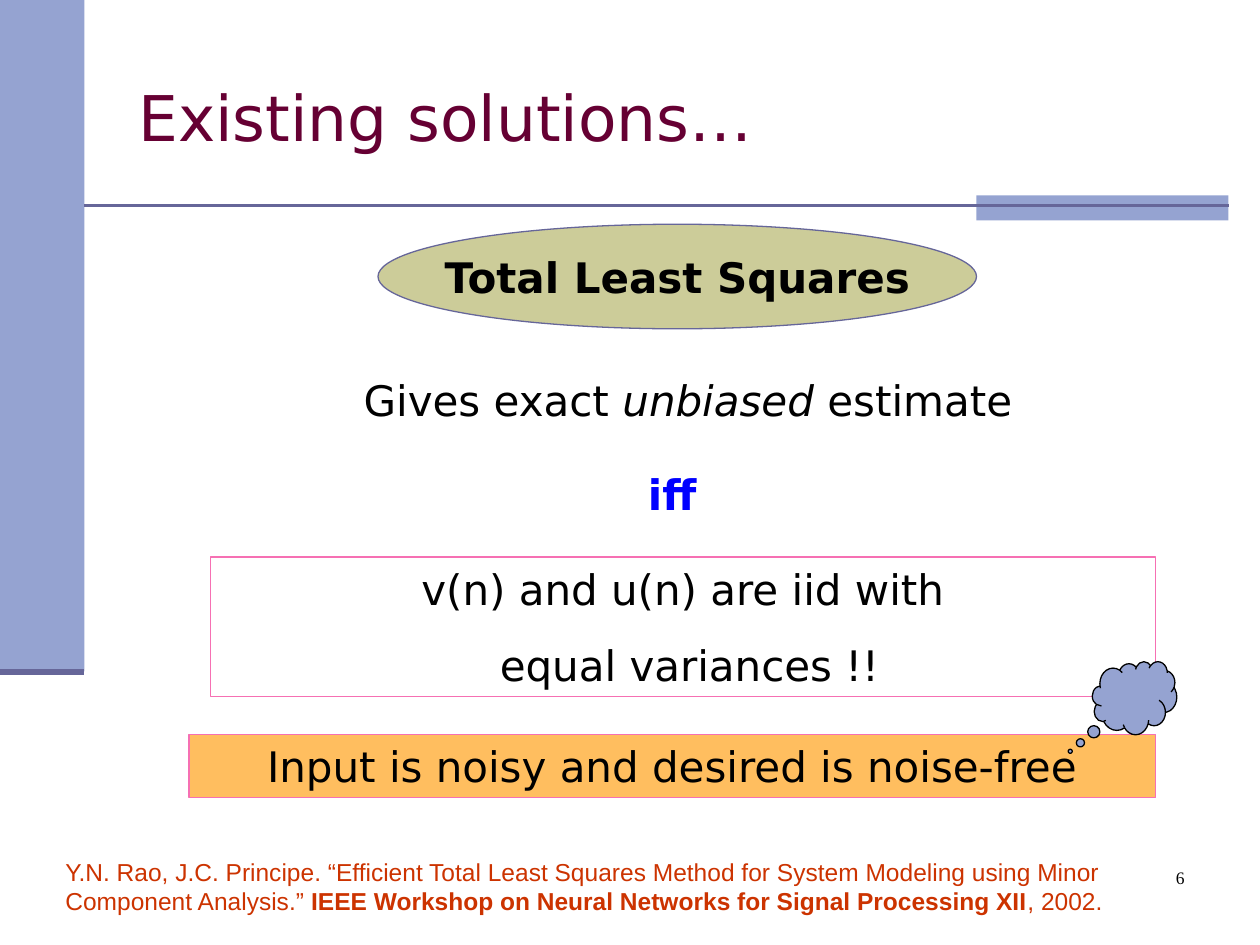
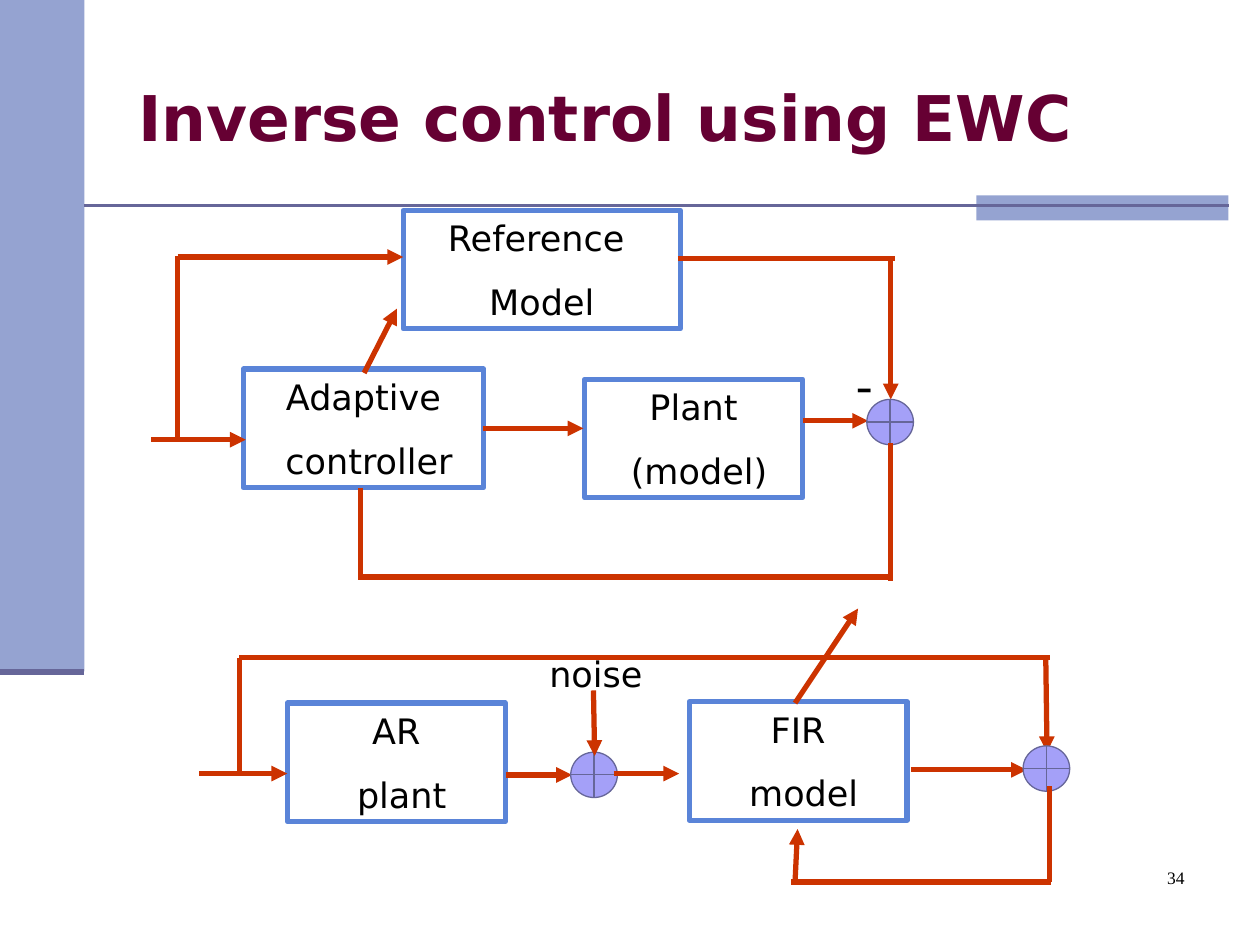
"""Build two slides on total least squares and inverse control."""
from dataclasses import dataclass

from pptx import Presentation
from pptx.dml.color import RGBColor
from pptx.enum.shapes import MSO_CONNECTOR, MSO_SHAPE
from pptx.enum.text import MSO_ANCHOR, PP_ALIGN
from pptx.oxml.ns import qn
from pptx.util import Pt
from lxml import etree

RECT, OVAL = MSO_SHAPE.RECTANGLE, MSO_SHAPE.OVAL
CLOUD, CROSS = MSO_SHAPE.CLOUD_CALLOUT, MSO_SHAPE.FLOWCHART_OR
STRAIGHT = MSO_CONNECTOR.STRAIGHT
TOP, MIDDLE = MSO_ANCHOR.TOP, MSO_ANCHOR.MIDDLE
LEFT, CENTER, RIGHT = PP_ALIGN.LEFT, PP_ALIGN.CENTER, PP_ALIGN.RIGHT
SCALE = 9144


@dataclass(frozen=True)
class Theme:
    """Colours, fonts and type sizes."""
    band: str = "95A3D1"
    rule: str = "666699"
    title: str = "660033"
    ink: str = "000000"
    blue: str = "0000FF"
    olive: str = "CCCC99"
    pink: str = "F670B3"
    amber: str = "FFBE5F"
    red: str = "CC3300"
    block: str = "5A84D8"
    sum: str = "A4A0F8"
    sans: str = "DejaVu Sans"
    serif: str = "Times New Roman"
    plain: str = "Arial"
    head: int = 36
    minus: int = 28
    body: int = 24
    label: int = 20
    cite: int = 14
    page: int = 10


T = Theme()


def px(*nums):
    """Turn px into EMU."""
    return [num * SCALE for num in nums]


def rgb(code):
    """Read a hex colour."""
    return RGBColor.from_string(code)


def apply(target, **values):
    """Set each value on the target."""
    for name, value in values.items():
        setattr(target, name, value)


def write(shape, lines, size, font=T.sans, color=T.ink, align=CENTER,
          anchor=TOP, wrap=True, **style):
    """Fill a shape with lines, each a string or a list of styled runs."""
    frame = shape.text_frame
    apply(frame, word_wrap=wrap, vertical_anchor=anchor)
    for row, line in enumerate(lines):
        para = frame.add_paragraph() if row else frame.paragraphs[0]
        para.alignment = align
        if row:
            para.space_before = Pt(size * 0.625)
        for text, extra in [(line, {})] if isinstance(line, str) else line:
            run = para.add_run()
            run.text = text
            apply(run.font, name=font, size=Pt(size), **style, **extra)
            run.font.color.rgb = rgb(color)


def label(slide, spot, lines, size, **style):
    """Add a text box."""
    write(slide.shapes.add_textbox(*px(*spot)), lines, size, **style)


def shape(slide, kind, spot, fill=None, edge=None, width=0.75):
    """Add a preset shape."""
    item = slide.shapes.add_shape(kind, *px(*spot))
    item.shadow.inherit = False
    for part, color in ((item.fill, fill), (item.line.fill, edge)):
        if color:
            part.solid()
            part.fore_color.rgb = rgb(color)
        else:
            part.background()
    if edge:
        item.line.width = Pt(width)
    return item


def wire(slide, ends, color=T.red, width=3, tip=False):
    """Add a straight line, with an arrow tip if asked."""
    item = slide.shapes.add_connector(STRAIGHT, *px(*ends))
    item.line.color.rgb = rgb(color)
    item.line.width = Pt(width)
    if tip:
        pen = item.line._get_or_add_ln()
        etree.SubElement(pen, qn("a:tailEnd"), type="triangle")
    etree.SubElement(item._element.spPr, qn("a:effectLst"))


def wires(slide, paths, tip=False):
    """Add a set of lines of one kind."""
    for ends in paths:
        wire(slide, ends, tip=tip)


def block(slide, spot, lines):
    """Add a framed box of the diagram."""
    write(shape(slide, RECT, spot, edge=T.block, width=3), lines, T.label)


def start(deck, title, page, bold=False):
    """Add a slide with its bands, rules, title and page number."""
    slide = deck.slides.add_slide(deck.slide_layouts[6])
    for spot in ((0, 0, 67, 533), (775, 155, 200, 20)):
        shape(slide, RECT, spot, T.band)
    wire(slide, (67, 163, 975, 163), T.rule, 1.5)
    wire(slide, (0, 533, 67, 533), T.rule, 3.5)
    label(slide, (100, 30, 850, 125), [title], T.head, color=T.title,
          align=LEFT, anchor=MIDDLE, bold=bold)
    label(slide, (742, 683, 208, 50), [page], T.page, font=T.serif, align=RIGHT)
    return slide


def squares(deck):
    """Build the slide on total least squares."""
    slide = start(deck, "Existing solutions…", "6")
    label(slide, (250, 292, 592, 50), [[
        ("Gives exact ", {}), ("unbiased", {"italic": True}),
        (" estimate", {})]], T.body)
    write(shape(slide, OVAL, (300, 178, 475, 83), T.olive, T.rule),
          ["Total Least Squares"], T.body, anchor=MIDDLE, wrap=False, bold=True)
    label(slide, (417, 367, 233, 50), ["iff"], T.body, color=T.blue, bold=True)
    write(shape(slide, RECT, (167, 442, 750, 111), edge=T.pink),
          ["v(n) and u(n) are iid with", " equal variances !!"], T.body)
    write(shape(slide, RECT, (150, 583, 767, 50), T.amber, T.pink),
          ["Input is noisy and desired is noise-free"], T.body)
    cloud = shape(slide, CLOUD, (867, 525, 67, 58), T.band, T.ink)
    cloud.adjustments[0], cloud.adjustments[1] = -0.763, 0.729
    label(slide, (42, 675, 892, 57), [[
        ("Y.N. Rao, J.C. Principe. “Efficient Total Least Squares Method for "
         "System Modeling using Minor Component Analysis.” ", {}),
        ("IEEE Workshop on Neural Networks for Signal Processing XII",
         {"bold": True}),
        (", 2002.", {})]],
        T.cite, font=T.plain, color=T.red, align=LEFT, anchor=MIDDLE)


def control(deck):
    """Build the slide with the two control loops."""
    slide = start(deck, "Inverse control using EWC", "34", bold=True)
    for left, top, width, lines in (
            (193, 293, 191, ["Adaptive", " controller"]),
            (464, 301, 173, ["Plant", " (model)"]),
            (320, 167, 220, ["Reference ", "Model"]),
            (228, 558, 173, ["AR", " plant"]),
            (547, 557, 173, ["FIR", " model"])):
        block(slide, (left, top, width, 94), lines)
    wires(slide, (
        (141, 347, 141, 203), (538, 205, 710, 205), (708, 458, 287, 458),
        (286, 387, 286, 460), (190, 614, 190, 522), (190, 522, 833, 522),
        (834, 700, 628, 700)))
    wires(slide, (
        (120, 349, 195, 349), (383, 340, 463, 340), (141, 204, 320, 204),
        (707, 207, 707, 317), (637, 334, 689, 334), (289, 296, 315, 245),
        (158, 614, 228, 614), (402, 615, 454, 615), (830, 524, 831, 597),
        (723, 611, 815, 611), (631, 558, 681, 483), (631, 700, 633, 658)),
        tip=True)
    for left, top in ((688, 317), (453, 597), (812, 592)):
        shape(slide, CROSS, (left, top, 37, 36), T.sum, T.rule)
    wires(slide, ((707, 352, 707, 461), (833, 624, 833, 700)))
    wires(slide, ((471, 548, 472, 600), (487, 614, 539, 614)), tip=True)
    label(slide, (666, 276, 40, 57), ["-"], T.minus, font=T.serif)
    label(slide, (398, 513, 150, 44), ["noise"], T.label)


def main():
    """Build and save the deck."""
    deck = Presentation()
    deck.slide_width, deck.slide_height = px(1000, 750)
    squares(deck)
    control(deck)
    deck.save("out.pptx")


if __name__ == "__main__":
    main()
